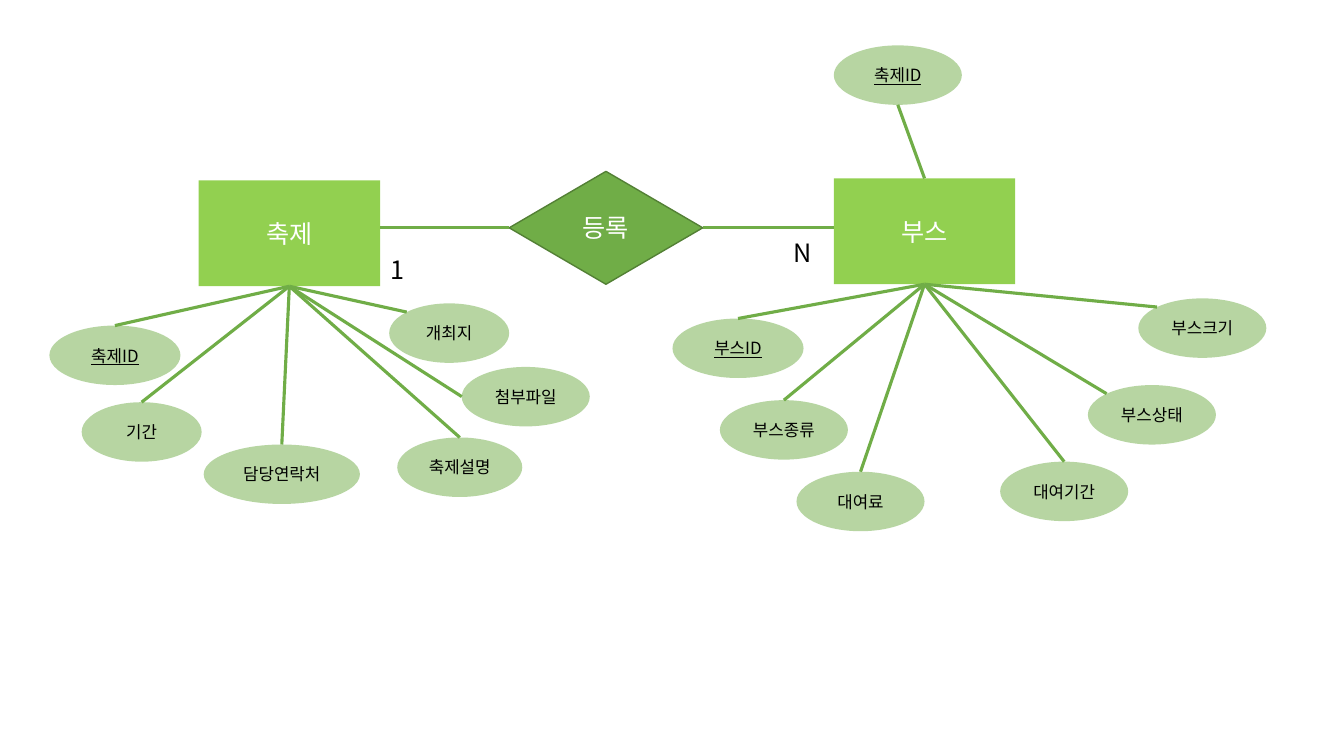
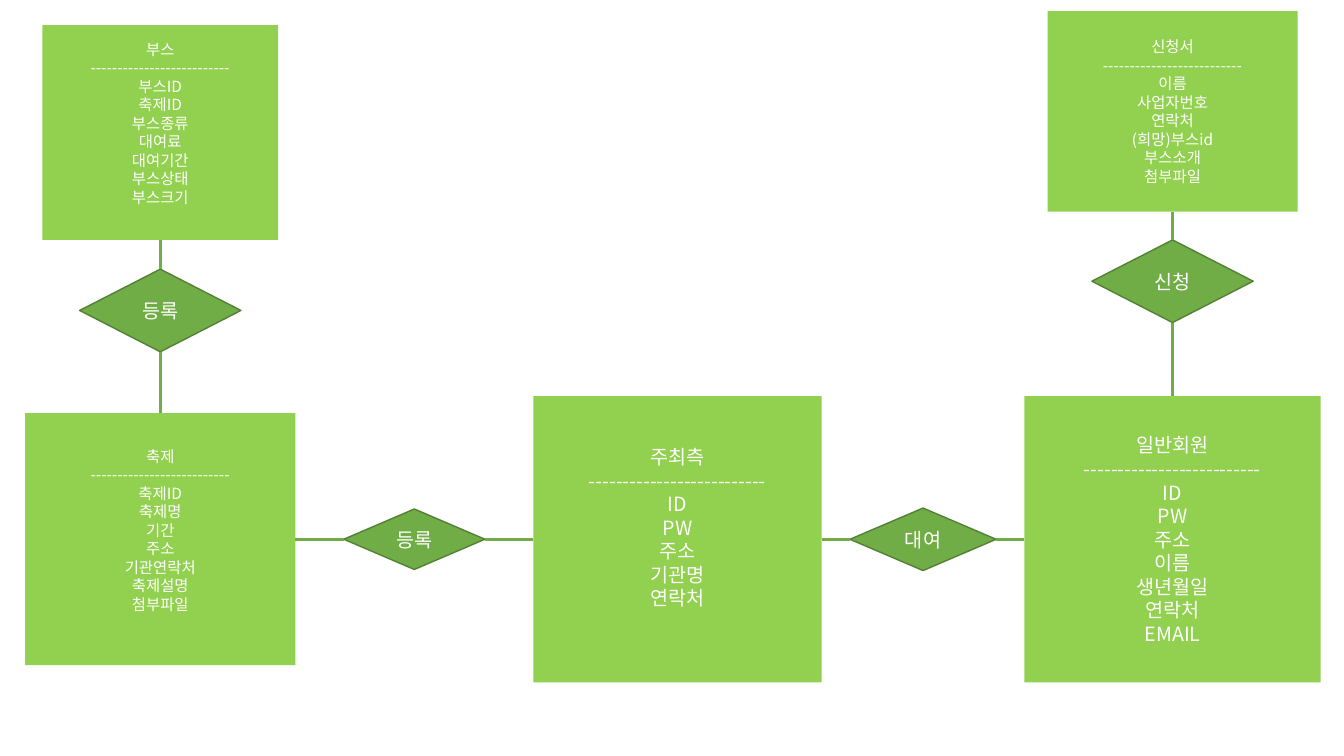
from lxml.etree import SubElement
from pptx import Presentation
from pptx.dml.color import RGBColor
from pptx.enum.shapes import MSO_CONNECTOR, MSO_SHAPE
from pptx.enum.text import MSO_ANCHOR, PP_ALIGN
from pptx.oxml.ns import qn
from pptx.util import Pt

FONT = "Noto Sans CJK KR"
GREEN, LIME, DARK = "70AD47", "92D050", "538035"
WHITE, BLACK = "FFFFFF", "000000"
RULE = "-" * 26
TOP, LEFT, BOTTOM, RIGHT = range(4)
CORNER = 4  # upper left point of an oval


def px(n):
    """100 px to the inch."""
    return round(n * 9144)


def rgb(code):
    return RGBColor.from_string(code)


def write(shape, text, size, color, align=PP_ALIGN.CENTER, under=False):
    frame = shape.text_frame
    frame.word_wrap = True
    frame.text = text
    for para in frame.paragraphs:
        para.alignment = align
        font = para.font
        font.name, font.size = FONT, Pt(size)
        font.color.rgb = rgb(color)
        if under:
            font.underline = True
        # East Asian typeface
        props = para._p.pPr.find(qn("a:defRPr"))
        SubElement(props, qn("a:ea")).set("typeface", FONT)


def block(slide, kind, box, fill, text, size, color=WHITE, under=False):
    shape = slide.shapes.add_shape(kind, *map(px, box))
    shape.shadow.inherit = False
    shape.fill.solid()
    shape.fill.fore_color.rgb = rgb(fill)
    shape.line.fill.background()
    shape.text_frame.vertical_anchor = MSO_ANCHOR.MIDDLE
    write(shape, text, size, color, under=under)
    return shape


def entity(slide, box, text, size=18):
    return block(slide, MSO_SHAPE.RECTANGLE, box, LIME, text, size)


def table(slide, box, size, names, lift=False):
    """Entity with a heading, a rule and its fields."""
    head, *rows = names.split()
    shape = entity(slide, box, "\n".join([head, RULE, *rows]), size)
    if lift:  # raise the text by half a line
        shape.text_frame.margin_bottom = px(5 + size * 1.2 * 100 / 72)
    return shape


def relate(slide, box, text, size=14):
    shape = block(slide, MSO_SHAPE.DIAMOND, box, GREEN, text, size)
    shape.line.color.rgb = rgb(DARK)
    shape.line.width = Pt(1)
    return shape


def oval(slide, box, text, key):
    shape = block(slide, MSO_SHAPE.OVAL, box, GREEN, text, 12, BLACK, key)
    tint = shape.fill._xPr.find(qn("a:solidFill"))[0]
    SubElement(tint, qn("a:alpha")).set("val", "50000")
    return shape


def label(slide, box, text):
    shape = slide.shapes.add_textbox(*map(px, box))
    write(shape, text, 18, BLACK, PP_ALIGN.LEFT)


def spot(shape, side):
    """Point of a shape where a line may end."""
    fx, fy = {TOP: (.5, 0), LEFT: (0, .5), BOTTOM: (.5, 1),
              RIGHT: (1, .5), CORNER: (.146, .146)}[side]
    return (round(shape.left + shape.width * fx),
            round(shape.top + shape.height * fy))


def line(slide, start, end):
    wire = slide.shapes.add_connector(MSO_CONNECTOR.STRAIGHT, *start, *end)
    wire.line.color.rgb = rgb(GREEN)
    wire.line.width = Pt(2.25)
    SubElement(wire._element.spPr, qn("a:effectLst"))
    return wire


def join(slide, first, out, last, into):
    wire = line(slide, spot(first, out), spot(last, into))
    wire.begin_connect(first, out)
    if into == TOP or last.auto_shape_type != MSO_SHAPE.OVAL:
        wire.end_connect(last, into)


def fan(slide, owner, items):
    """Attribute ovals, each tied to the bottom of its owner."""
    for x, y, width, text, side, key in items:
        item = oval(slide, (x, y, width, 59), text, key)
        join(slide, owner, BOTTOM, item, side)


def model(slide):
    # Entities and their relation
    fest = entity(slide, (197, 179, 180, 105), "축제")
    booth = entity(slide, (827, 177, 180, 105), "부스")
    link = relate(slide, (505, 170, 192, 112), "등록", 18)
    for owner, side, edge in ((fest, LEFT, RIGHT), (booth, RIGHT, LEFT)):
        end = spot(link, side)
        wire = line(slide, (spot(owner, edge)[0], end[1]), end)
        wire.end_connect(link, side)
    label(slide, (377, 247, 46, 40), "1")
    label(slide, (777, 231, 46, 40), "N")

    # Attributes
    fan(slide, fest, (
        (49, 323, 130, "축제ID", TOP, True),
        (81, 399, 119, "기간", TOP, False),
        (202, 441, 155, "담당연락처", TOP, False),
        (394, 434, 124, "축제설명", TOP, False),
        (458, 364, 127, "첨부파일", LEFT, False),
        (386, 301, 119, "개최지", CORNER, False)))
    fan(slide, booth, (
        (667, 316, 130, "부스ID", TOP, True),
        (714, 397, 127, "부스종류", TOP, False),
        (790, 468, 127, "대여료", TOP, False),
        (992, 458, 127, "대여기간", TOP, False),
        (1079, 382, 127, "부스상태", CORNER, False),
        (1129, 296, 127, "부스크기", CORNER, False)))
    key = oval(slide, (827, 45, 127, 59), "축제ID", True)
    wire = line(slide, spot(booth, TOP), spot(key, BOTTOM))
    wire.begin_connect(booth, TOP)


def schema(slide):
    # Tables
    host = table(slide, (529, 393, 286, 284), 14,
                 "주최측 ID PW 주소 기관명 연락처", True)
    user = table(slide, (1016, 393, 294, 284), 14,
                 "일반회원 ID PW 주소 이름 생년월일 연락처 EMAIL")
    form = table(slide, (1039, 11, 248, 199), 11,
                 "신청서 이름 사업자번호 연락처 (희망)부스id 부스소개 첨부파일")
    booth = table(slide, (42, 25, 234, 213), 11,
                  "부스 부스ID 축제ID 부스종류 대여료 대여기간 부스상태 부스크기",
                  True)
    fest = table(slide, (25, 410, 268, 250), 11,
                 "축제 축제ID 축제명 기간 주소 기관연락처 축제설명 첨부파일",
                 True)

    # Relations, each between two tables
    down, across = (BOTTOM, TOP), (RIGHT, LEFT)
    for first, last, box, text, (out, into) in (
            (host, user, (843, 504, 145, 62), "대여", across),
            (fest, host, (341, 505, 140, 60), "등록", across),
            (form, user, (1083, 238, 160, 82), "신청", down),
            (booth, fest, (79, 267, 160, 82), "등록", down)):
        link = relate(slide, box, text)
        join(slide, first, out, link, into)
        join(slide, link, out, last, into)


def main():
    deck = Presentation()
    deck.slide_width, deck.slide_height = px(1333), px(750)
    blank = deck.slide_layouts[6]
    for draw in (model, schema):
        draw(deck.slides.add_slide(blank))
    deck.save("out.pptx")


if __name__ == "__main__":
    main()
